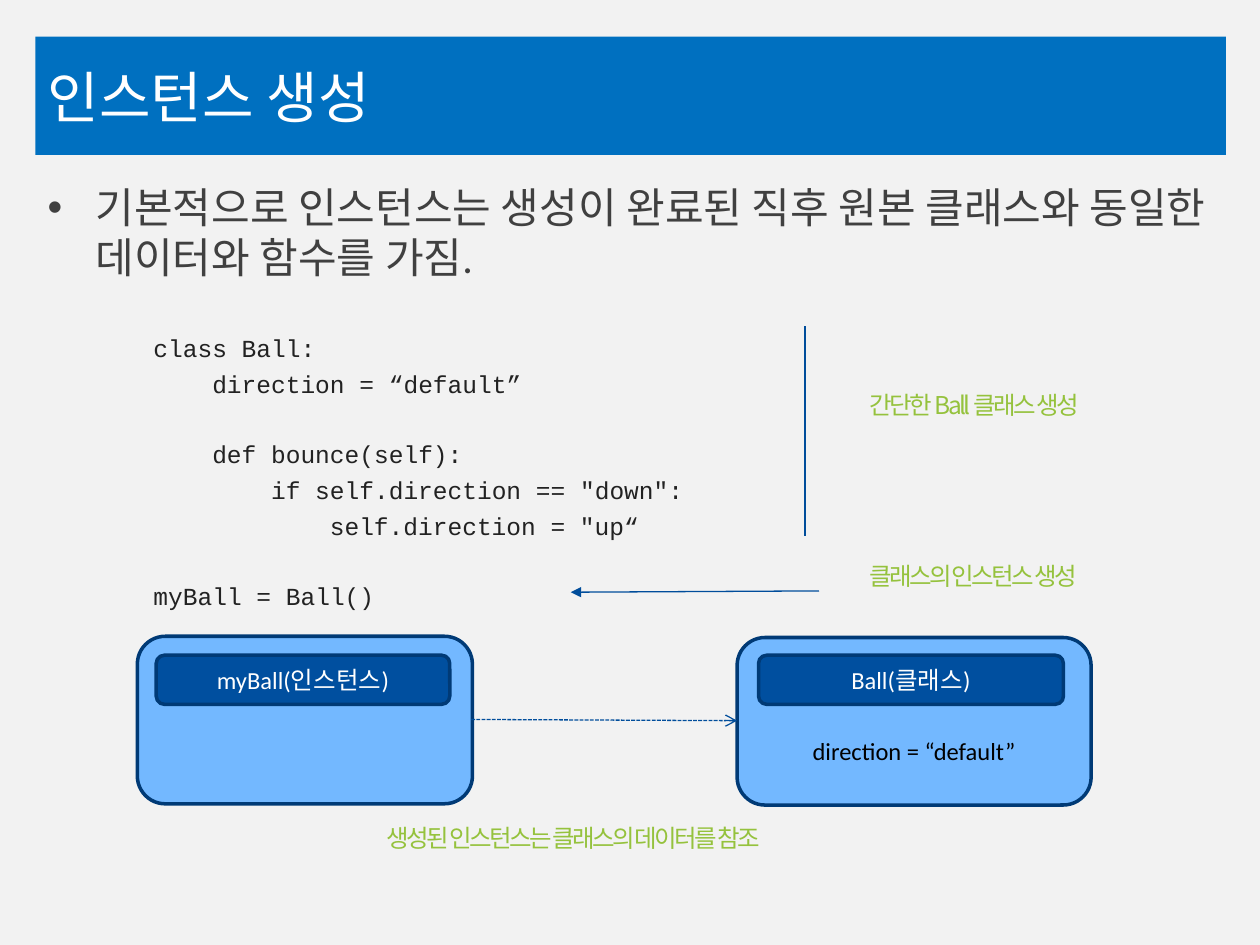
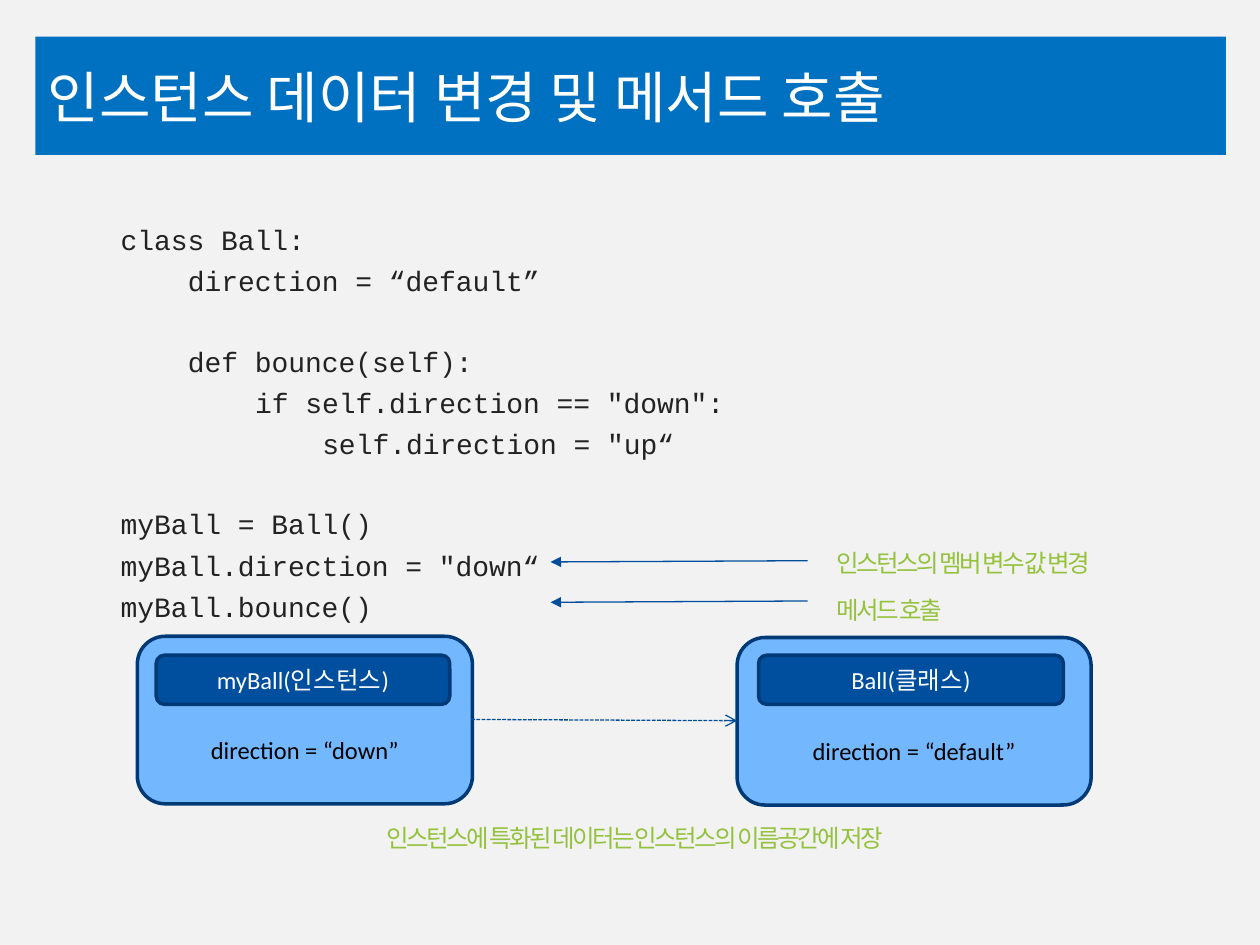
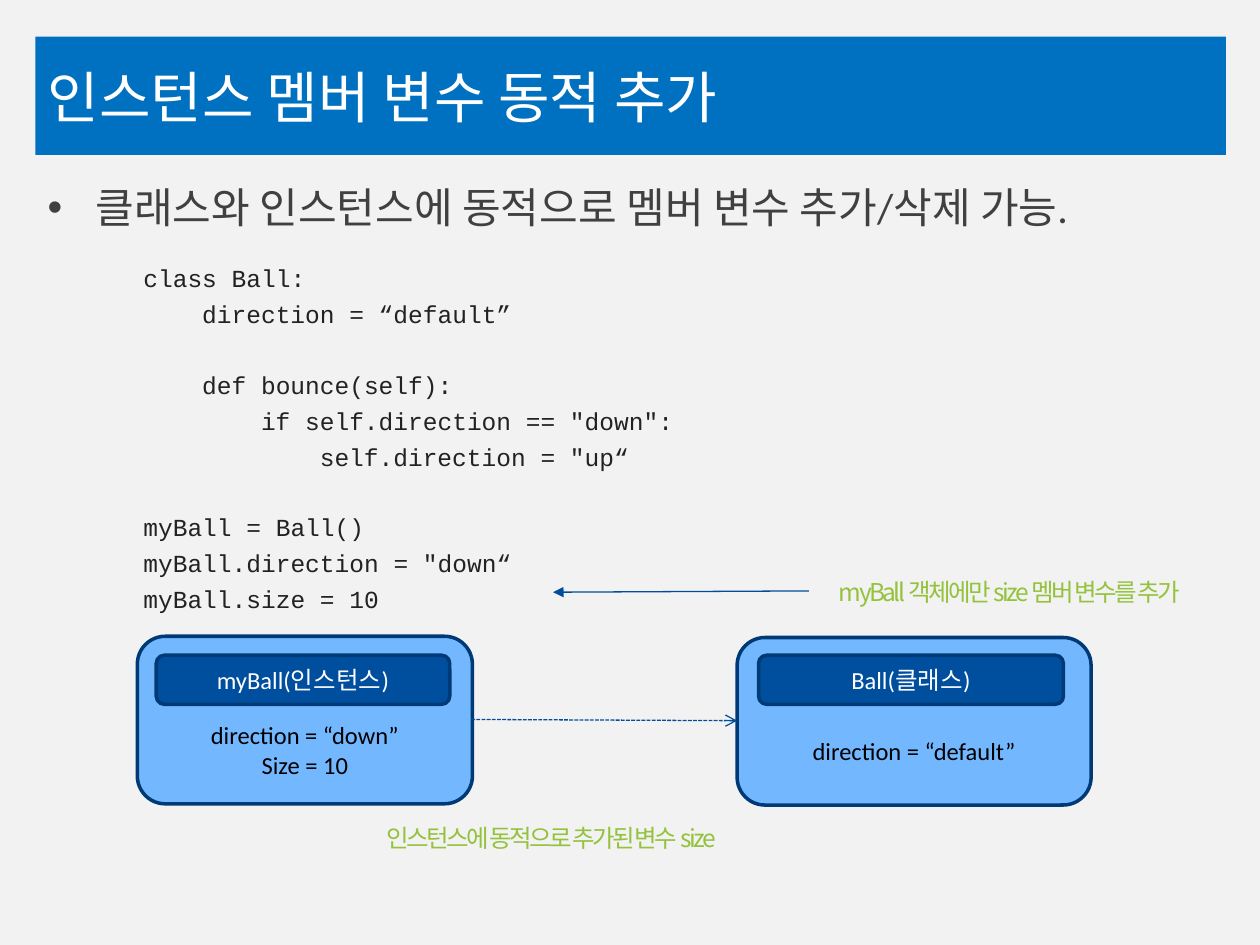
from lxml.etree import SubElement as Sub
from pptx import Presentation
from pptx.dml.color import RGBColor as RGB
from pptx.enum.dml import MSO_LINE as Dash
from pptx.enum.shapes import MSO_CONNECTOR as Conn, MSO_SHAPE as Shape
from pptx.enum.text import MSO_ANCHOR as Anchor, PP_ALIGN as Align
from pptx.oxml.ns import qn
from pptx.util import Inches, Pt

COLORS = {
    "page": "F2F2F2", "band": "0070C0", "white": "FFFFFF", "body": "404040",
    "code": "222222", "note": "95C23D", "line": "004D9B", "box": "73B8FF",
    "tag": "004F9F", "edge": "003A76", "black": "000000",
}
TITLE, BODY, CODE, NOTE = "Cabin", "Calibri", "Courier New", "Noto Sans CJK KR"

# Code lines: (indent level, text, blank line before)
BALL = [
    (0, "class Ball:", False),
    (1, "direction = “default”", False),
    (1, "def bounce(self):", True),
    (2, 'if self.direction == "down":', False),
    (3, 'self.direction = "up“', False),
    (0, "myBall = Ball()", True),
]
DOWN = (0, 'myBall.direction = "down“', False)

# Notes: (left, top, width, text); arrows: (right, left, top)
SLIDES = [
    {
        "title": "인스턴스 생성",
        "point": "기본적으로 인스턴스는 생성이 완료된 직후 원본 클래스와 동일한 데이터와 함수를 가짐.",
        "code": BALL, "at": (1.12, 2.59, 5.16, 2.34), "size": 14,
        "rule": (6.39, 2.59, 6.39, 4.25),
        "arrows": [(6.5, 4.53, 4.69)],
        "notes": [(6.8, 3.05, 2.58, "간단한 Ball 클래스 생성"),
                  (6.8, 4.4, 2.58, "클래스의 인스턴스 생성")],
        "data": [],
        "foot": "생성된 인스턴스는 클래스의 데이터를 참조",
    },
    {
        "title": "인스턴스 데이터 변경 및 메서드 호출",
        "code": BALL + [DOWN, (0, "myBall.bounce()", False)],
        "at": (0.86, 1.72, 5.16, 3.24), "size": 16,
        "arrows": [(6.41, 4.37, 4.45), (6.41, 4.37, 4.77)],
        "notes": [(6.54, 4.3, 2.58, "인스턴스의 멤버 변수 값 변경"),
                  (6.54, 4.67, 1.64, "메서드 호출")],
        "data": ["direction = “down”"],
        "foot": "인스턴스에 특화된 데이터는 인스턴스의 이름공간에 저장",
    },
    {
        "title": "인스턴스 멤버 변수 동적 추가",
        "point": "클래스와 인스턴스에 동적으로 멤버 변수 추가/삭제 가능.",
        "code": BALL + [DOWN, (0, "myBall.size = 10", False)],
        "at": (1.04, 2.04, 5.16, 2.88), "size": 14,
        "arrows": [(6.42, 4.39, 4.69)],
        "notes": [(6.56, 4.53, 3.12, "myBall 객체에만 size 멤버 변수를 추가")],
        "data": ["direction = “down”", "Size = 10"],
        "foot": "인스턴스에 동적으로 추가된 변수 size",
    },
]


def rgb(name):
    """Look up a named colour."""
    return RGB.from_string(COLORS[name])


def write(shape, lines, font, size, color, align=Align.LEFT, anchor=Anchor.TOP):
    """Fill a shape with lines in one style and return its paragraphs."""
    frame = shape.text_frame
    frame.word_wrap = True
    frame.vertical_anchor = anchor
    frame.text = "\n".join(lines)
    for para in frame.paragraphs:
        para.alignment = align
        for run in para.runs:
            run.font.name = font
            run.font.size = Pt(size)
            run.font.color.rgb = rgb(color)
            Sub(run.font._element, qn("a:ea"), typeface=font)
    return frame.paragraphs


def text(slide, at, lines, font, size, color):
    """Add a text box and return its paragraphs."""
    box = slide.shapes.add_textbox(*map(Inches, at))
    return write(box, lines, font, size, color)


def block(slide, kind, at, fill, edge=None):
    """Add a filled shape with an optional edge."""
    shape = slide.shapes.add_shape(kind, *map(Inches, at))
    shape.shadow.inherit = False
    shape.fill.solid()
    shape.fill.fore_color.rgb = rgb(fill)
    if edge:
        shape.line.color.rgb = rgb(edge)
        shape.line.width = Pt(2)
    else:
        shape.line.fill.background()
    return shape


def link(slide, ends, head=None, dash=None):
    """Draw a thin line with an optional arrowhead and dash."""
    line = slide.shapes.add_connector(Conn.STRAIGHT, *map(Inches, ends))
    line.line.color.rgb = rgb("line")
    line.line.width = Pt(0.75)
    if dash:
        line.line.dash_style = dash
    if head:
        Sub(line.line._get_or_add_ln(), qn("a:tailEnd"), type=head)
    Sub(line._element.spPr, qn("a:effectLst"))


def point(slide, line):
    """Add the bulleted main point."""
    para = text(slide, (0.28, 1.39, 9.45, 5.28), [line], BODY, 24, "body")[0]
    props = para._p.get_or_add_pPr()
    props.set("marL", str(Inches(0.38)))
    props.set("indent", str(-Inches(0.38)))
    Sub(props, qn("a:buFont"), typeface="Arial")
    Sub(props, qn("a:buChar"), char="•")


def code(slide, at, rows, size):
    """Add a code listing, indented four characters a level."""
    paras = text(slide, at, [row[1] for row in rows], CODE, size, "code")
    for i, (para, (level, _, gap)) in enumerate(zip(paras, rows)):
        para.space_before = Pt(size * (1.67 if gap else 0.27) if i else 0)
        props = para._p.get_or_add_pPr()
        props.set("marL", str(Pt(level * 4 * 0.6 * size)))
        props.set("indent", "0")


def note(slide, left, top, width, line):
    """Add a green remark with tight letters."""
    para = text(slide, (left, top, width, 0.34), [line], NOTE, 14, "note")[0]
    para.runs[0].font._element.set("spc", "-150")


def card(slide, at, tag, name, data):
    """Add a namespace box: a name tag with its data below."""
    box = block(slide, Shape.ROUNDED_RECTANGLE, at, "box", "edge")
    if data:
        write(box, data, BODY, 14, "black", Align.CENTER, Anchor.MIDDLE)
        box.text_frame.margin_top = Inches(0.52)
    label = block(slide, Shape.ROUNDED_RECTANGLE, tag, "tag", "edge")
    write(label, [name], BODY, 14, "white", Align.CENTER, Anchor.MIDDLE)


def build(deck, item):
    """Build one slide from its content."""
    slide = deck.slides.add_slide(deck.slide_layouts[6])
    band = block(slide, Shape.RECTANGLE, (0.28, 0.29, 9.45, 0.94), "band")
    write(band, [item["title"]], TITLE, 32, "white", anchor=Anchor.MIDDLE)
    if "point" in item:
        point(slide, item["point"])
    code(slide, item["at"], item["code"], item["size"])
    if "rule" in item:
        link(slide, item["rule"])
    for right, left, top in item["arrows"]:
        link(slide, (right, top, left, top + 0.01), "triangle")
    for row in item["notes"]:
        note(slide, *row)
    card(slide, (1.09, 5.05, 2.66, 1.33), (1.24, 5.2, 2.33, 0.39),
         "myBall(인스턴스)", item["data"])
    card(slide, (5.85, 5.06, 2.81, 1.33), (6.02, 5.2, 2.42, 0.39),
         "Ball(클래스)", ["direction = “default”"])
    link(slide, (3.74, 5.71, 5.85, 5.72), "arrow", Dash.SQUARE_DOT)
    note(slide, 2.97, 6.48, 5.31, item["foot"])


deck = Presentation()
deck.slide_width, deck.slide_height = Inches(10), Inches(7.5)
back = deck.slide_master.background.fill
back.solid()
back.fore_color.rgb = rgb("page")
for item in SLIDES:
    build(deck, item)
deck.save("out.pptx")
